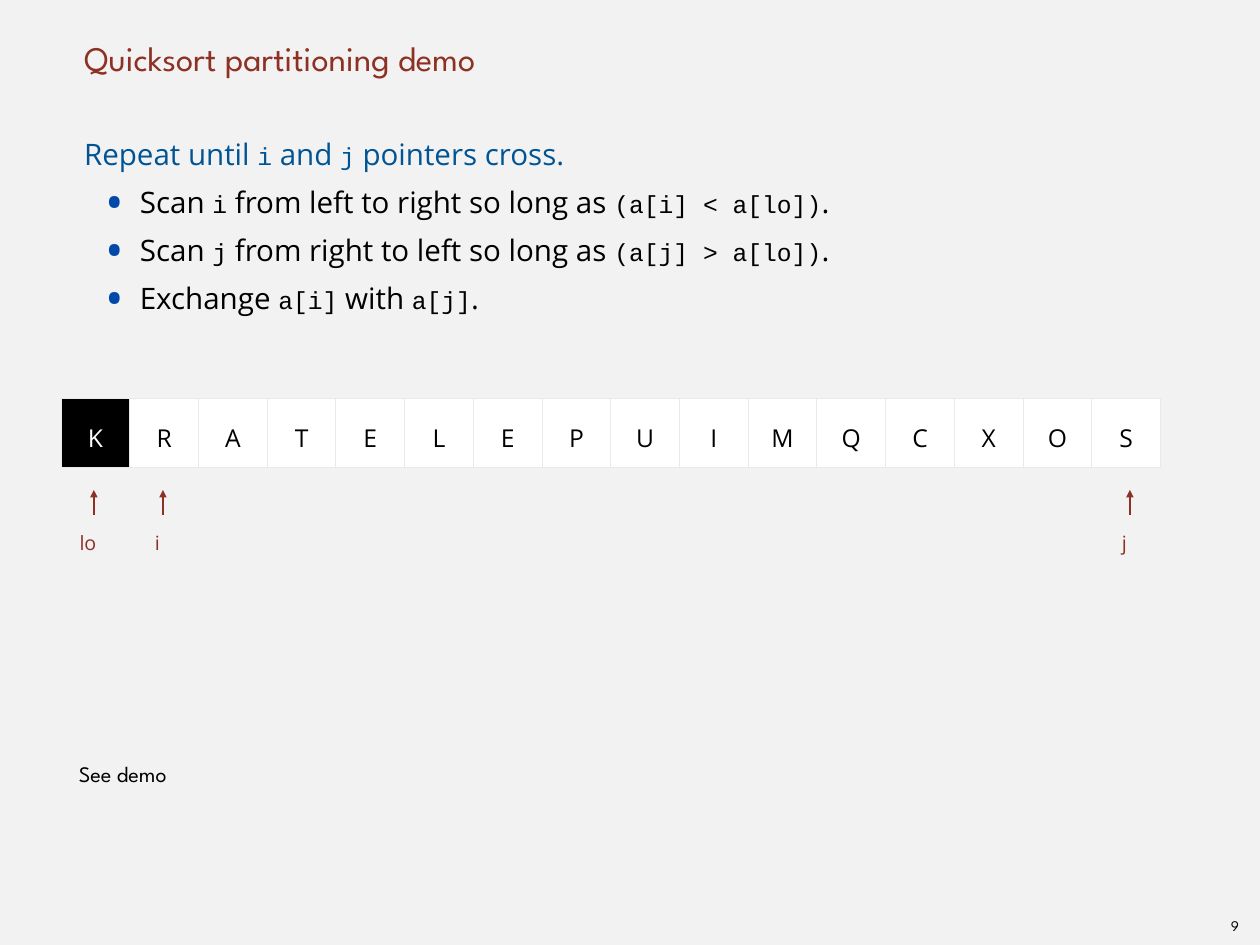
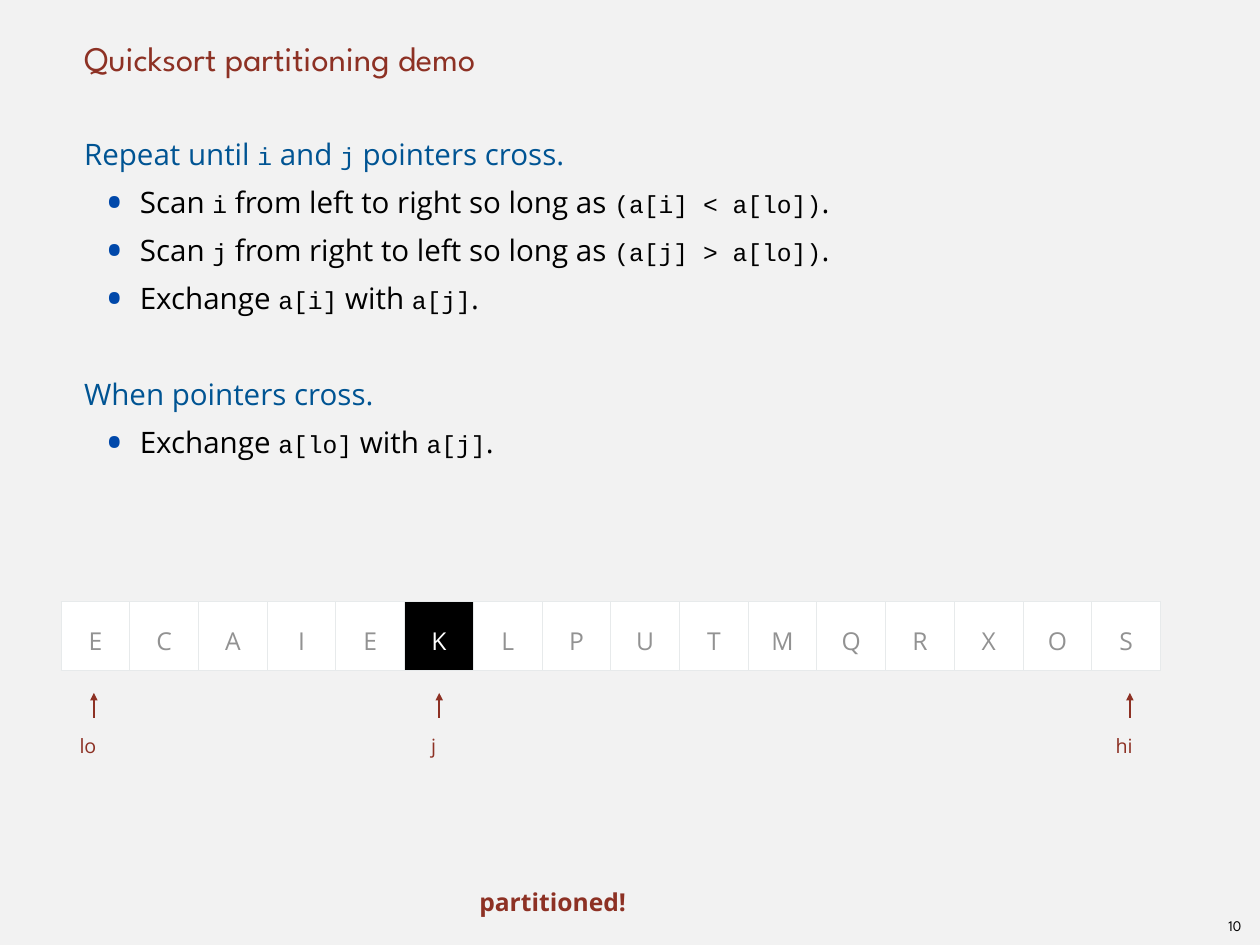
from dataclasses import dataclass

from lxml import etree
from pptx import Presentation
from pptx.dml.color import RGBColor
from pptx.enum.shapes import MSO_CONNECTOR
from pptx.enum.text import MSO_ANCHOR, PP_ALIGN
from pptx.oxml.ns import qn
from pptx.util import Cm, Pt

TOP, MIDDLE, BOTTOM = MSO_ANCHOR.TOP, MSO_ANCHOR.MIDDLE, MSO_ANCHOR.BOTTOM
LEFT, CENTER = PP_ALIGN.LEFT, PP_ALIGN.CENTER
STRAIGHT = MSO_CONNECTOR.STRAIGHT


@dataclass(frozen=True)
class Theme:
    back: str = "F2F2F2"
    red: str = "8D3124"
    blue: str = "005493"
    dot: str = "0048AA"
    black: str = "000000"
    white: str = "FFFFFF"
    gray: str = "929292"
    edge: str = "E7EAEB"
    head: str = "League Spartan"
    text: str = "Open Sans"
    code: str = "Courier New"
    title: int = 28
    body: int = 24
    cell: int = 20
    note: int = 18
    label: int = 16
    page: int = 12


T = Theme()
TITLE = "Quicksort partitioning demo"

# Backticks mark code.
SCAN = [
    ("Repeat until `i` and `j` pointers cross.", [
        "Scan `i` from left to right so long as `(a[i] < a[lo])`.",
        "Scan `j` from right to left so long as `(a[j] > a[lo])`.",
        "Exchange `a[i]` with `a[j]`.",
    ]),
]
CROSS = [("When pointers cross.", ["Exchange `a[lo]` with `a[j]`."])]

SLIDES = [
    dict(page="9", steps=SCAN, keys="KRATELEPUIMQCXOS", pivot=0,
         color=T.black, top=11.43, marks={"lo": 0, "i": 1, "j": 15},
         note=dict(text="See demo", at=(2.11, 20.32, 31.6, 2.26),
                   font=T.head, size=T.note, color=T.black,
                   anchor=BOTTOM, space=Pt(59))),
    dict(page="10", steps=SCAN + CROSS, keys="ECAIEKLPUTMQRXOS", pivot=5,
         color=T.gray, top=17.25, marks={"lo": 0, "j": 5, "hi": 15},
         note=dict(text="partitioned!", at=(13.59, 25.02, 4.72, 1.09),
                   font=T.text, size=T.cell, color=T.red,
                   space=1.5, bold=True)),
]

INDENT = 0.15
STEP_IN, STEP_HANG = 1.75, 0.98
GRID_LEFT, CELL = 1.75, 1.97
MARK_LEFT, MARK_STEP = 2.69, 1.98
ARROW_DROP, ARROW_LEN, LABEL_DROP = 2.62, 0.71, 3.45


def add_run(par, text, font, size, color, bold=False):
    run = par.add_run()
    run.text = text
    run.font.name = font
    run.font.size = Pt(size)
    run.font.bold = bold
    run.font.color.rgb = RGBColor.from_string(color)


def indent(par, left, first=0):
    props = par._p.get_or_add_pPr()
    props.set("marL", str(Cm(left)))
    props.set("indent", str(Cm(first)))
    return props


def add_box(slide, at, anchor=TOP, inset=0):
    frame = slide.shapes.add_textbox(*map(Cm, at)).text_frame
    frame.word_wrap = True
    frame.vertical_anchor = anchor
    frame.margin_left = frame.margin_right = Cm(inset)
    frame.margin_top = frame.margin_bottom = Cm(inset)
    return frame


def add_line(slide, text, at, font, size, color, anchor=TOP, space=1.5,
             bold=False):
    """Add a text box that holds one left-aligned line."""
    par = add_box(slide, at, anchor).paragraphs[0]
    par.alignment = LEFT
    par.line_spacing = space
    indent(par, INDENT)
    add_run(par, text, font, size, color, bold)


def add_page(slide, text):
    par = add_box(slide, (34.97, 26.15, 0.86, 0.81), MIDDLE, INDENT).paragraphs[0]
    par.alignment = CENTER
    add_run(par, text, T.head, T.page, T.black)


def add_dot(props):
    color = etree.SubElement(props, qn("a:buClr"))
    etree.SubElement(color, qn("a:srgbClr"), val=T.dot)
    etree.SubElement(props, qn("a:buSzPct"), val="167000")
    etree.SubElement(props, qn("a:buFont"), typeface=T.text)
    etree.SubElement(props, qn("a:buChar"), char="•")


def add_steps(slide, steps):
    frame = add_box(slide, (2.26, 3.53, 31.6, 22.58))
    rows = [(level, text) for head, items in steps
            for level, text in [(0, head)] + [(1, item) for item in items]]
    for num, (level, text) in enumerate(rows):
        par = frame.add_paragraph() if num else frame.paragraphs[0]
        par.line_spacing = Pt(39)
        if level:
            par.level = 1
            add_dot(indent(par, STEP_IN, -STEP_HANG))
        else:
            indent(par, INDENT)
            if num:
                par.space_before = Pt(39)
        color = T.black if level else T.blue
        for part, words in enumerate(text.split("`")):
            if part % 2:
                add_run(par, words, T.code, T.cell, color)
            else:
                add_run(par, words, T.text, T.body, color)


def set_edges(cell):
    props = cell._tc.get_or_add_tcPr()
    for place, side in enumerate("LRTB"):
        line = etree.Element(qn(f"a:ln{side}"), w=str(Pt(1)))
        fill = etree.SubElement(line, qn("a:solidFill"))
        etree.SubElement(fill, qn("a:srgbClr"), val=T.edge)
        props.insert(place, line)


def add_keys(slide, keys, pivot, color, top):
    table = slide.shapes.add_table(
        1, len(keys), Cm(GRID_LEFT), Cm(top),
        Cm(CELL * len(keys)), Cm(CELL)).table
    table.first_row = table.horz_banding = False
    for col, key in enumerate(keys):
        table.columns[col].width = Cm(CELL)
        cell = table.cell(0, col)
        cell.vertical_anchor = MIDDLE
        cell.margin_left = cell.margin_right = Cm(INDENT)
        cell.margin_top = cell.margin_bottom = Cm(INDENT)
        cell.fill.solid()
        cell.fill.fore_color.rgb = RGBColor.from_string(
            T.black if col == pivot else T.white)
        set_edges(cell)
        par = cell.text_frame.paragraphs[0]
        par.alignment = CENTER
        par.line_spacing = 1.3
        add_run(par, key, T.text, T.cell, T.white if col == pivot else color)


def add_mark(slide, name, col, top):
    """Point an arrow at a cell and name it below."""
    mid = MARK_LEFT + MARK_STEP * col
    tip = top + ARROW_DROP
    arrow = slide.shapes.add_connector(
        STRAIGHT, Cm(mid), Cm(tip), Cm(mid), Cm(tip + ARROW_LEN))
    arrow.line.color.rgb = RGBColor.from_string(T.red)
    arrow.line.width = Pt(2)
    etree.SubElement(arrow.line._get_or_add_ln(), qn("a:headEnd"), type="triangle")
    etree.SubElement(arrow._element.spPr, qn("a:effectLst"))
    size = len(name)
    add_line(slide, name,
             (mid - 0.2 - 0.18 * size, top + LABEL_DROP, 0.3 + 0.35 * size, 0.91),
             T.text, T.label, T.red)


def main():
    deck = Presentation()
    deck.slide_width, deck.slide_height = Cm(36.12), Cm(27.1)
    fill = deck.slide_master.background.fill
    fill.solid()
    fill.fore_color.rgb = RGBColor.from_string(T.back)
    for data in SLIDES:
        slide = deck.slides.add_slide(deck.slide_layouts[6])
        add_page(slide, data["page"])
        add_line(slide, TITLE, (2.26, 0, 31.6, 2.26), T.head, T.title, T.red,
                 BOTTOM, Pt(59))
        add_steps(slide, data["steps"])
        add_keys(slide, data["keys"], data["pivot"], data["color"], data["top"])
        for name, col in data["marks"].items():
            add_mark(slide, name, col, data["top"])
        add_line(slide, **data["note"])
    deck.save("out.pptx")


if __name__ == "__main__":
    main()
